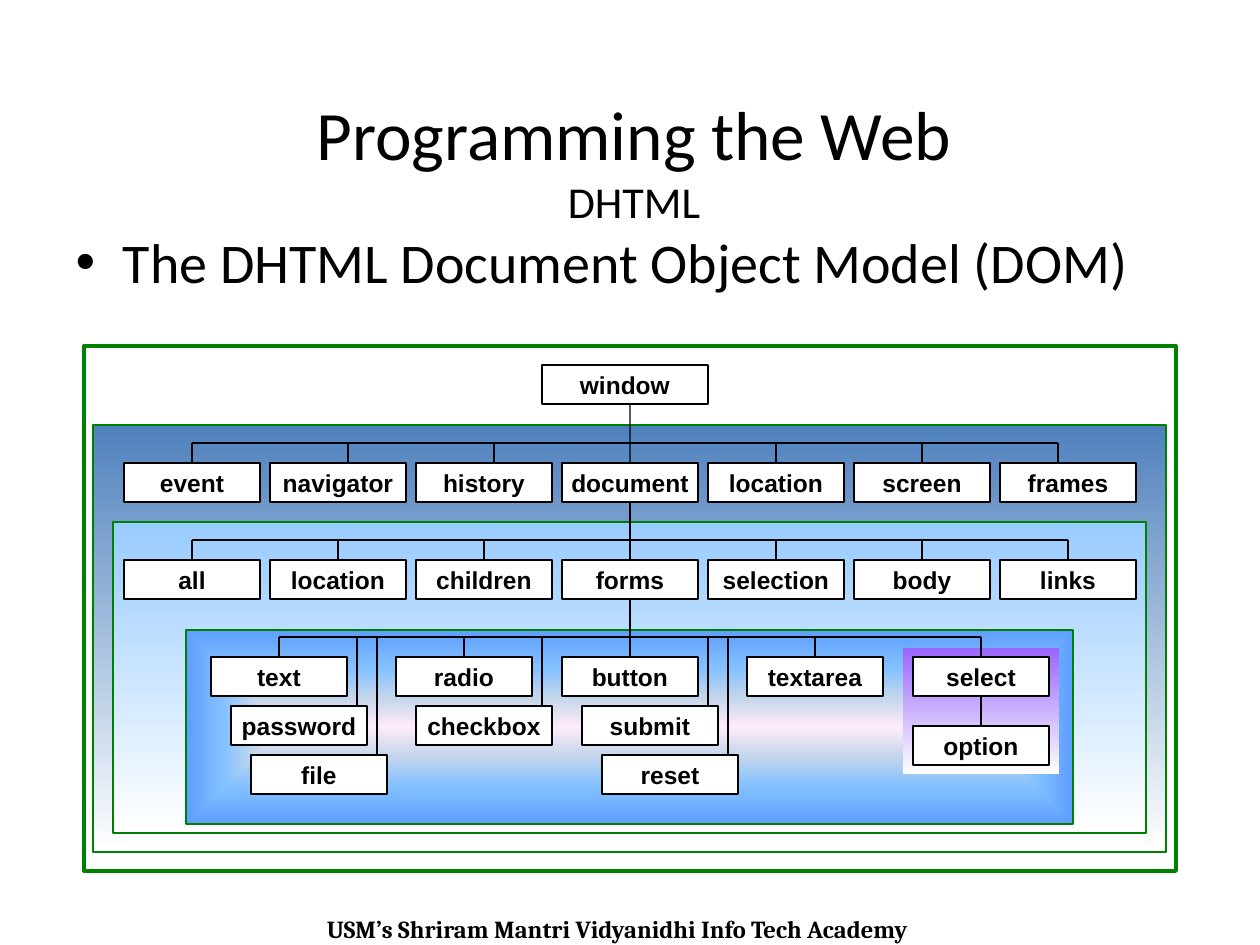
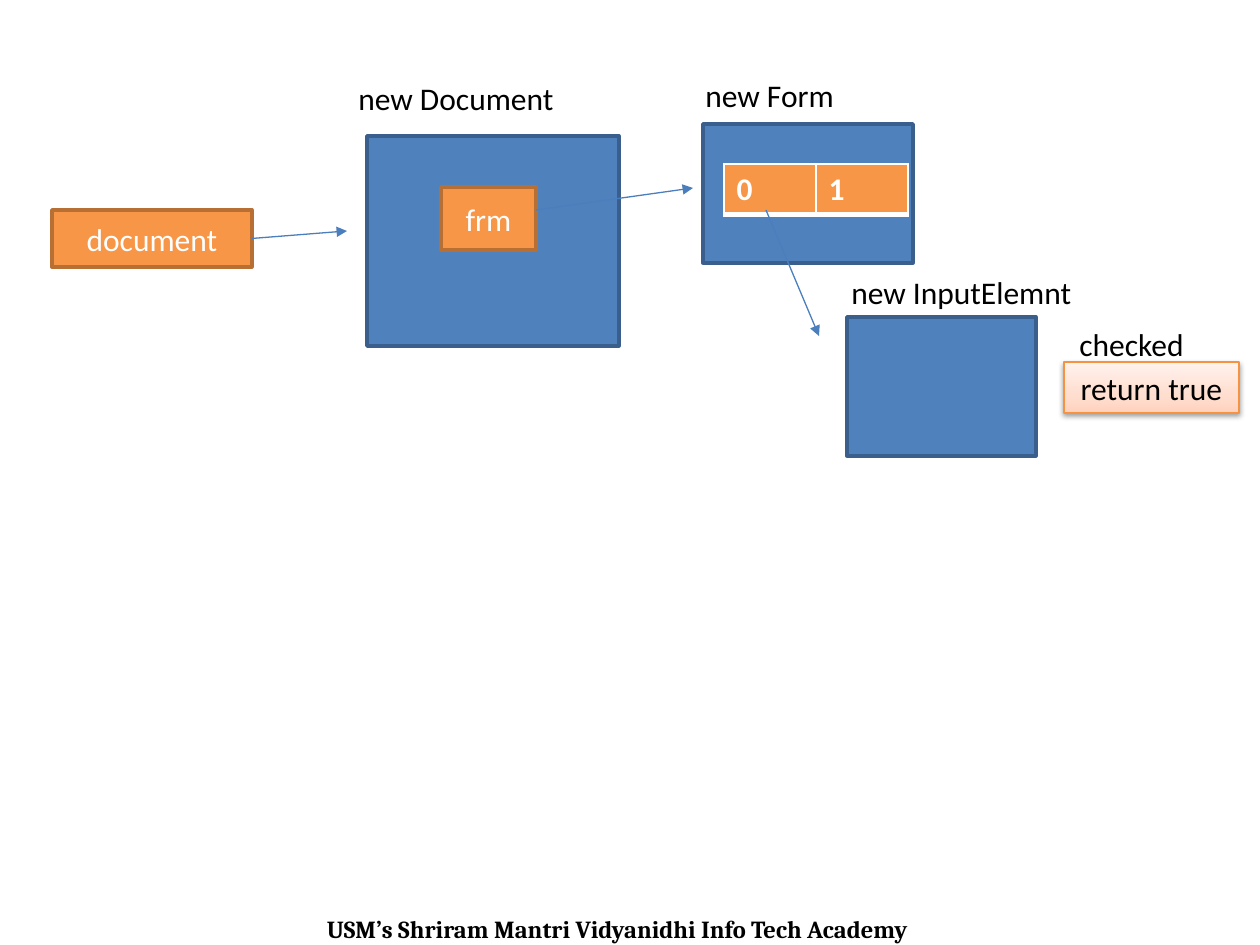
from dataclasses import dataclass

from lxml import etree
from pptx import Presentation
from pptx.dml.color import RGBColor
from pptx.enum.shapes import MSO_CONNECTOR, MSO_SHAPE
from pptx.enum.text import MSO_ANCHOR, MSO_AUTO_SIZE, PP_ALIGN
from pptx.oxml import parse_xml
from pptx.oxml.ns import qn
from pptx.util import Pt

RECTANGLE = MSO_SHAPE.RECTANGLE
STRAIGHT = MSO_CONNECTOR.STRAIGHT
MIDDLE, TOP_ANCHOR = MSO_ANCHOR.MIDDLE, MSO_ANCHOR.TOP
NO_AUTOFIT = MSO_AUTO_SIZE.NONE
LEFT_ALIGN, CENTER = PP_ALIGN.LEFT, PP_ALIGN.CENTER
TOP, BOTTOM, RIGHT = 0, 2, 3
DRAWING_NS = 'xmlns:a="http://schemas.openxmlformats.org/drawingml/2006/main"'
EMU_PER_PX = 914400 / 126


@dataclass(frozen=True)
class Theme:
    """Colours, fonts and type sizes used by every slide."""
    black: str = "000000"
    white: str = "FFFFFF"
    green: str = "008000"
    blue: str = "4F81BD"
    blue_edge: str = "3A5F8C"
    orange: str = "F79646"
    orange_edge: str = "B76F34"
    pale_edge: str = "F69240"
    arrow: str = "4B7EBC"
    body_font: str = "Calibri"
    node_font: str = "Arial"
    footer_font: str = "Cambria"
    title_size: float = 39.6
    subtitle_size: float = 25.2
    body_size: float = 32
    label_size: float = 18
    small_size: float = 14


THEME = Theme()
FOOTER = "USM’s Shriram Mantri Vidyanidhi Info Tech Academy"

NODE_WIDTH, NODE_HEIGHT = 136, 39
COLUMN_CENTRES = [630 + 146 * (column - 3) for column in range(7)]
ROW_TOPS = [463 + 97 * row for row in range(3)]
BUS_RISE = 20
STACK_DROP, STACK_SHIFT, STACK_LINE = 49, 20, 58

WINDOW_MEMBERS = ["event", "navigator", "history", "document",
                  "location", "screen", "frames"]
WINDOW_DROPS = [192, 348, 494, 630, 776, 922, 1058]
DOCUMENT_MEMBERS = ["all", "location", "children", "forms",
                    "selection", "body", "links"]
FORM_STACKS = [(279, ["text", "password", "file"]),
               (464, ["radio", "checkbox"]),
               (630, ["button", "submit", "reset"]),
               (815, ["textarea"]),
               (981, ["select"])]


def px(*lengths):
    """Turn pixel lengths into EMU."""
    return [round(length * EMU_PER_PX) for length in lengths]


def rgb(code):
    """Turn a hex code into a colour."""
    return RGBColor.from_string(code)


def write(shape, text, *, size=THEME.label_size, font=THEME.body_font,
          color=THEME.black, bold=False, align=LEFT_ALIGN, anchor=TOP_ANCHOR,
          wrap=True):
    """Add formatted text to a shape, on a new line if it already holds some."""
    frame = shape.text_frame
    frame.word_wrap, frame.vertical_anchor = wrap, anchor
    para = frame.paragraphs[0]
    para.alignment, para.space_before = align, Pt(0)
    if para.runs:
        para.add_line_break()
    span = para.add_run()
    span.text = text
    span.font.size, span.font.name, span.font.bold = Pt(size), font, bold
    span.font.color.rgb = rgb(color)


def place(holder, left, top, width, height):
    """Move a placeholder and keep its text at full size."""
    holder.left, holder.top, holder.width, holder.height = px(left, top, width, height)
    holder.text_frame.auto_size = NO_AUTOFIT


def add_label(page, text, left, top, width, height=50, **style):
    """Add a plain text box."""
    box = page.shapes.add_textbox(*px(left, top, width, height))
    write(box, text, **style)


def add_footer(page):
    """Add the footer that all slides share."""
    add_label(page, FOOTER, 31, 908, 1173, 43, size=THEME.small_size,
              font=THEME.footer_font, bold=True, align=CENTER)


def shade(shape, stops, angle=None):
    """Fill with a gradient, linear at an angle or spreading from the centre."""
    marks = "".join(f'<a:gs pos="{position * 1000}"><a:srgbClr val="{color}"/></a:gs>'
                    for position, color in stops)
    if angle is None:
        course = ('<a:path path="shape"><a:fillToRect l="50000" t="50000" '
                  'r="50000" b="50000"/></a:path>')
    else:
        course = f'<a:lin ang="{angle * 60000}" scaled="0"/>'
    gradient = parse_xml(f'<a:gradFill {DRAWING_NS} rotWithShape="1">'
                         f'<a:gsLst>{marks}</a:gsLst>{course}</a:gradFill>')
    shape.fill.background()
    properties = shape._element.spPr
    properties.replace(properties.find(qn("a:noFill")), gradient)


def cast_shadow(shape):
    """Give a shape a soft shadow below it."""
    effects = shape._element.spPr.find(qn("a:effectLst"))
    effects.append(parse_xml(
        f'<a:outerShdw {DRAWING_NS} blurRad="40000" dist="20000" dir="5400000" '
        'rotWithShape="0"><a:srgbClr val="000000"><a:alpha val="38000"/>'
        '</a:srgbClr></a:outerShdw>'))


def add_box(page, left, top, width, height, *, fill=THEME.white, stops=None,
            angle=None, edge=None, weight=0.75):
    """Add a rectangle with a plain or gradient fill."""
    box = page.shapes.add_shape(RECTANGLE, *px(left, top, width, height))
    box.shadow.inherit = False
    if stops:
        shade(box, stops, angle)
    else:
        box.fill.solid()
        box.fill.fore_color.rgb = rgb(fill)
    if edge:
        box.line.color.rgb, box.line.width = rgb(edge), Pt(weight)
    else:
        box.line.fill.background()
    return box


def add_node(page, text, centre, top, width=NODE_WIDTH):
    """Add a named box of the object tree."""
    node = add_box(page, centre - width // 2, top, width, NODE_HEIGHT, edge=THEME.black)
    write(node, text, size=THEME.small_size, font=THEME.node_font, bold=True,
          align=CENTER, anchor=MIDDLE, wrap=False)
    return node


def add_line(page, start, end, *, color=THEME.black, arrow=False,
             begin_at=None, end_at=None):
    """Add a straight line, joined to any given (shape, side)."""
    line = page.shapes.add_connector(STRAIGHT, *px(*start, *end))
    line.line.color.rgb, line.line.width = rgb(color), Pt(0.75)
    if arrow:
        etree.SubElement(line.line._get_or_add_ln(), qn("a:tailEnd"), type="triangle")
    etree.SubElement(line._element.spPr, qn("a:effectLst"))
    if begin_at:
        line.begin_connect(*begin_at)
    if end_at:
        line.end_connect(*end_at)


def add_drop(page, node, centre, top, bus, x):
    """Drop a line from a bus to a node, joined when it meets the middle."""
    add_line(page, (x, bus), (x, top), end_at=(node, TOP) if x == centre else None)


def add_member_row(page, names, top, drops, parent_name):
    """Add a row of nodes under a bus and return the one that has children."""
    bus = top - BUS_RISE
    add_line(page, (drops[0], bus), (drops[-1], bus))
    parent = None
    for name, centre, x in zip(names, COLUMN_CENTRES, drops):
        node = add_node(page, name, centre, top)
        if name == parent_name:
            parent = node
        else:
            add_drop(page, node, centre, top, bus, x)
    return parent


def add_form_stacks(page, top):
    """Add the stepped stacks of form elements and return nodes by name."""
    bus = top - BUS_RISE
    add_line(page, (FORM_STACKS[0][0], bus), (FORM_STACKS[-1][0], bus))
    nodes = {}
    for first_centre, names in FORM_STACKS:
        for level, name in enumerate(names):
            centre = first_centre + level * STACK_SHIFT
            node_top = top + level * STACK_DROP
            nodes[name] = add_node(page, name, centre, node_top)
            if name != "button":
                x = centre + STACK_LINE if level else centre
                add_drop(page, nodes[name], centre, node_top, bus, x)
    return nodes


def add_tree_panels(page):
    """Add the nested panels behind the object tree."""
    add_box(page, 84, 346, 1092, 525, edge=THEME.green, weight=2.25)
    add_box(page, 93, 425, 1073, 427, edge=THEME.green, angle=90,
            stops=[(0, THEME.blue), (100, THEME.white)])
    add_box(page, 113, 522, 1033, 311, edge=THEME.green, angle=90,
            stops=[(0, "99CCFF"), (100, THEME.white)])
    add_box(page, 186, 630, 887, 194, edge=THEME.green,
            stops=[(0, "FFEBFA"), (30, "C4D6EB"), (60, "85C2FF"), (100, "5E9EFF")])
    add_box(page, 903, 648, 156, 126, angle=90,
            stops=[(0, "9966FF"), (100, THEME.white)])


def build_tree_page(deck):
    """Build the slide with the document object model."""
    page = deck.slides.add_slide(deck.slide_layouts[1])
    add_footer(page)
    title, body = page.shapes.title, page.placeholders[1]
    place(title, 67, 81, 1134, 157)
    for text, size in (("Programming the Web", THEME.title_size),
                       ("DHTML", THEME.subtitle_size)):
        write(title, text, size=size, align=CENTER, anchor=MIDDLE)
    place(body, 63, 221, 1134, 624)
    write(body, "The DHTML Document Object Model (DOM)", size=THEME.body_size)

    add_tree_panels(page)
    window_top = 365
    add_node(page, "window", 625, window_top, width=166)
    document = add_member_row(page, WINDOW_MEMBERS, ROW_TOPS[0], WINDOW_DROPS, "document")
    forms = add_member_row(page, DOCUMENT_MEMBERS, ROW_TOPS[1], COLUMN_CENTRES, "forms")
    elements = add_form_stacks(page, ROW_TOPS[2])
    option = add_node(page, "option", 981, 726)

    add_line(page, (630, window_top + NODE_HEIGHT), (630, ROW_TOPS[0]),
             end_at=(document, TOP))
    for parent, child in ((document, forms), (forms, elements["button"]),
                          (elements["select"], option)):
        add_line(page, (0, 0), (0, 0), begin_at=(parent, BOTTOM), end_at=(child, TOP))


def add_variable(page, name, left, top, width, height):
    """Add an orange box for a variable."""
    box = add_box(page, left, top, width, height, fill=THEME.orange,
                  edge=THEME.orange_edge, weight=2)
    write(box, name, color=THEME.white, align=CENTER, anchor=MIDDLE)
    return box


def add_index_table(page, values, left, top, column_width, height):
    """Add a one-row table of element indexes with white borders."""
    frame = page.shapes.add_table(1, len(values),
                                  *px(left, top, column_width * len(values), height))
    for cell, value in zip(frame.table.rows[0].cells, values):
        write(cell, value, color=THEME.white, bold=True)
        cell.fill.solid()
        cell.fill.fore_color.rgb = rgb(THEME.orange)
        properties = cell._tc.get_or_add_tcPr()
        for position, (side, points) in enumerate(zip("LRTB", (1, 1, 1, 3))):
            properties.insert(position, parse_xml(
                f'<a:ln{side} {DRAWING_NS} w="{Pt(points)}"><a:solidFill>'
                f'<a:srgbClr val="{THEME.white}"/></a:solidFill></a:ln{side}>'))


def build_reference_page(deck):
    """Build the slide that follows references from document to input."""
    page = deck.slides.add_slide(deck.slide_layouts[6])
    add_footer(page)
    for text, label, area in (
            ("new Document", (346, 73), (367, 136, 252, 210)),
            ("new Form", (693, 70), (703, 124, 210, 139)),
            ("new InputElemnt", (839, 267), (847, 317, 189, 139))):
        add_box(page, *area, fill=THEME.blue, edge=THEME.blue_edge, weight=2)
        add_label(page, text, *label, 252)

    document = add_variable(page, "document", 52, 210, 200, 57)
    add_variable(page, "frm", 441, 187, 95, 63)
    add_index_table(page, ["0", "1"], 724, 164, 92, 50)
    for start, end, source in (((252, 238), (347, 231), (document, RIGHT)),
                               ((536, 210), (693, 188), None),
                               ((766, 210), (819, 336), None)):
        add_line(page, start, end, color=THEME.arrow, arrow=True, begin_at=source)

    result = add_box(page, 1064, 362, 175, 51, edge=THEME.pale_edge, angle=270,
                     stops=[(0, "FFD2BD"), (35, "FFDED0"), (100, "FFF2ED")])
    cast_shadow(result)
    write(result, "return true", align=CENTER, anchor=MIDDLE)
    add_label(page, "checked", 1067, 319, 142)


def main():
    """Build and save the deck."""
    deck = Presentation()
    deck.slide_width, deck.slide_height = px(1260, 945)
    build_tree_page(deck)
    build_reference_page(deck)
    deck.save("out.pptx")


if __name__ == "__main__":
    main()
